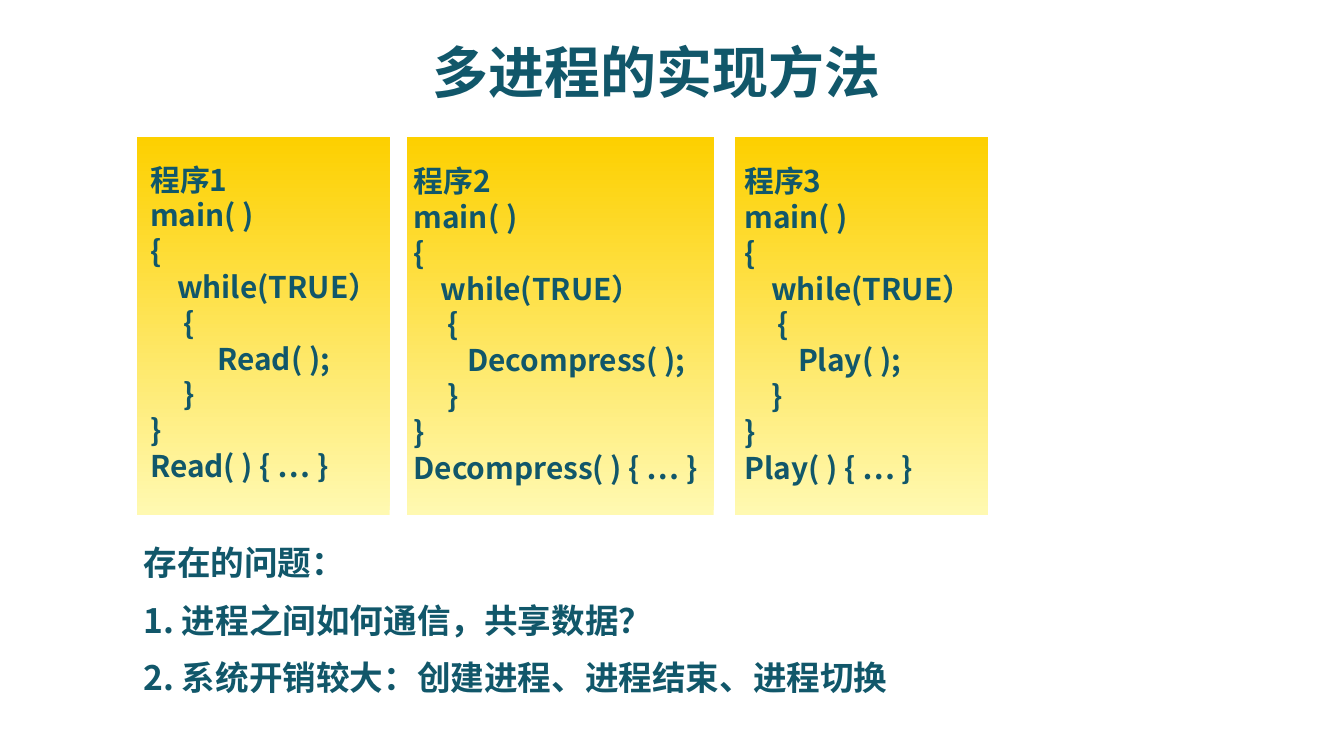
import pptx
import pptx.util
import pptx.dml.color
import pptx.enum.shapes
import pptx.enum.text
import pptx.oxml.ns
import lxml.etree

Inches = pptx.util.Inches
Pt = pptx.util.Pt
FONT = "Noto Sans CJK SC"
COLORS = {"ink": "11576A", "pale": "FFF9B1", "gold": "FDD000"}
SLIDE_WIDTH = 10
SLIDE_HEIGHT = SLIDE_WIDTH * 9 / 16
SPACE_WIDTH = 0.05
PANEL_TOP, PANEL_HEIGHT = 1.02, 2.81
PROGRAMS = [
    {"number": 1, "call": "Read", "call_indent": 10, "close_indent": 5,
     "left": 1.02, "width": 1.88, "code_shift": 0, "code_width": 1.95},
    {"number": 2, "call": "Decompress", "call_indent": 8, "close_indent": 5,
     "left": 3.03, "width": 2.28, "code_shift": -0.05, "code_width": 2.43},
    {"number": 3, "call": "Play", "call_indent": 8, "close_indent": 4,
     "left": 5.47, "width": 1.88, "code_shift": -0.03, "code_width": 1.98},
]
PROBLEMS = [
    (3.98, 0.86, ["存在的问题：", "1. 进程之间如何通信，共享数据？"]),
    (4.84, 0.4, ["2. 系统开销较大：创建进程、进程结束、进程切换"]),
]


def rgb(name):
    """Return the named colour."""
    return pptx.dml.color.RGBColor.from_string(COLORS[name])


def write(frame, lines, size, before=0, anchor="TOP"):
    """Fill a text frame with (indent in spaces, text) lines."""
    frame.word_wrap = True
    frame.auto_size = pptx.enum.text.MSO_AUTO_SIZE.NONE
    frame.vertical_anchor = getattr(pptx.enum.text.MSO_ANCHOR, anchor)
    for index, (indent, text) in enumerate(lines):
        paragraph = frame.add_paragraph() if index else frame.paragraphs[0]
        paragraph.alignment = pptx.enum.text.PP_ALIGN.LEFT
        paragraph.space_before = Pt(before)
        properties = paragraph._p.get_or_add_pPr()
        properties.set("marL", str(Inches(indent * SPACE_WIDTH)))
        properties.set("indent", "0")
        run = paragraph.add_run()
        run.text = text
        run.font.size = Pt(size)
        run.font.bold = True
        run.font.name = FONT
        run.font.color.rgb = rgb("ink")
        east_asian = lxml.etree.SubElement(
            run._r.get_or_add_rPr(), pptx.oxml.ns.qn("a:ea"))
        east_asian.set("typeface", FONT)


def place_title(title, left, top, width, height):
    """Move and fill the slide title."""
    title.left, title.top = Inches(left), Inches(top)
    title.width, title.height = Inches(width), Inches(height)
    write(title.text_frame, [(0, "多进程的实现方法")], size=30)


def add_panel(shapes, left, top, width, height):
    """Add one gradient panel."""
    panel = shapes.add_shape(
        pptx.enum.shapes.MSO_SHAPE.RECTANGLE,
        Inches(left), Inches(top), Inches(width), Inches(height))
    panel.shadow.inherit = False
    panel.line.fill.background()
    panel.fill.gradient()
    panel.fill.gradient_angle = 90
    for stop, name, position in zip(
            panel.fill.gradient_stops, ("pale", "gold"), (0, 1)):
        stop.color.rgb = rgb(name)
        stop.position = position


def add_code(shapes, program, left, top):
    """Add one program listing relative to its panel's corner."""
    call = program["call"]
    code = shapes.add_textbox(
        Inches(left + program["code_shift"]), Inches(top + 0.13),
        Inches(program["code_width"]), Inches(2.52))
    lines = [
        (0, f"程序{program['number']}"), (0, "main( )"), (0, "{"),
        (4, "while(TRUE）"), (5, "{"),
        (program["call_indent"], f"{call}( );"),
        (program["close_indent"], "}"), (0, "}"),
        (0, f"{call}( ) {{ … }}"),
    ]
    anchor = "TOP" if program["number"] == 1 else "MIDDLE"
    write(code.text_frame, lines, size=16, anchor=anchor)


def add_programs(shapes, top, height):
    """Add the group of program panels and their listings."""
    group = shapes.add_group_shape()
    for program in PROGRAMS:
        add_panel(group.shapes, program["left"], top, program["width"], height)
    for program in PROGRAMS:
        add_code(group.shapes, program, program["left"], top)


def add_problems(shapes, left, width):
    """Add the open problems below the panels."""
    for top, height, texts in PROBLEMS:
        problem = shapes.add_textbox(
            Inches(left), Inches(top), Inches(width), Inches(height))
        write(problem.text_frame, [(0, text) for text in texts],
              size=18, before=9.5)


def build():
    """Build and save the slide."""
    deck = pptx.Presentation()
    deck.slide_width = Inches(SLIDE_WIDTH)
    deck.slide_height = Inches(SLIDE_HEIGHT)
    slide = deck.slides.add_slide(deck.slide_layouts[5])
    place_title(slide.shapes.title, 3.12, 0.23, 3.75, 0.61)
    add_programs(slide.shapes, PANEL_TOP, PANEL_HEIGHT)
    add_problems(slide.shapes, 0.97, 6.53)
    deck.save("out.pptx")


build()
